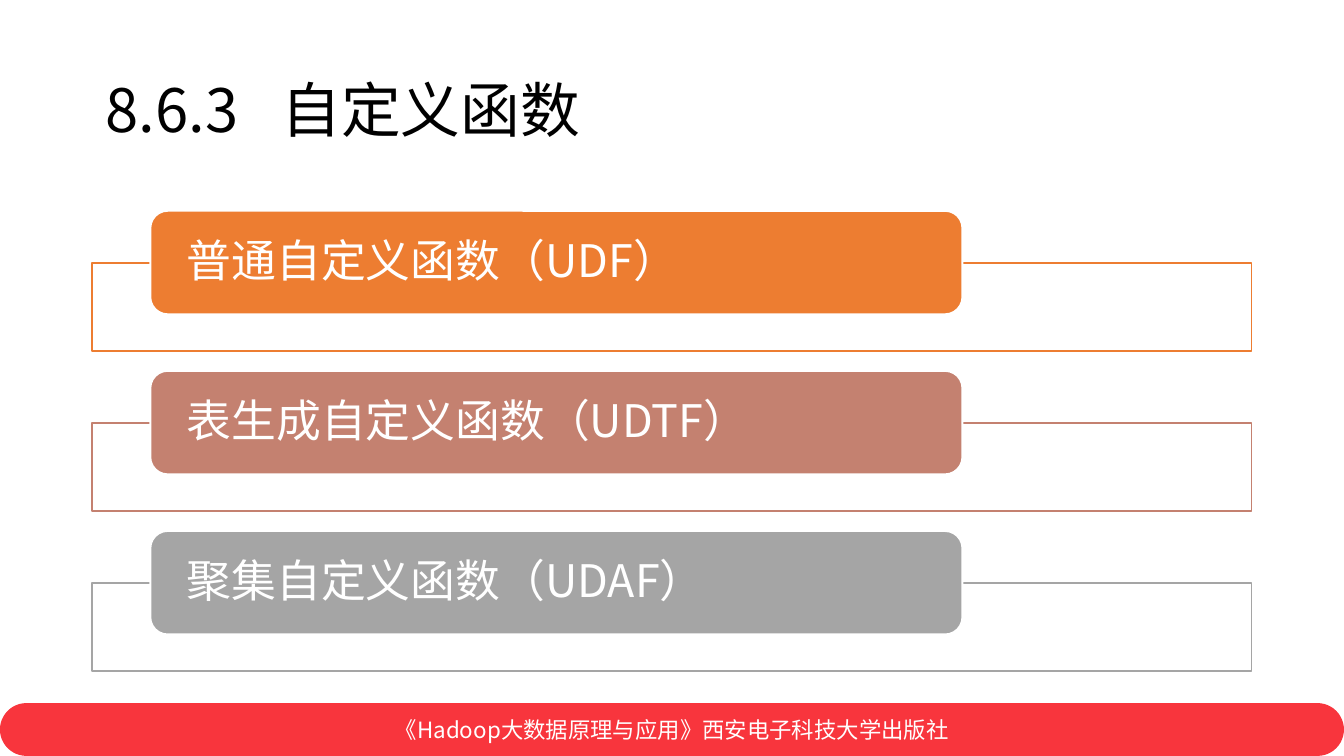
"""Build the slide listing the three kinds of user-defined functions."""
from lxml import etree
from pptx import Presentation
from pptx.dml.color import RGBColor
from pptx.enum.shapes import MSO_SHAPE
from pptx.enum.text import MSO_ANCHOR, PP_ALIGN
from pptx.oxml.ns import qn
from pptx.util import Pt

RECTANGLE, ROUNDED = MSO_SHAPE.RECTANGLE, MSO_SHAPE.ROUNDED_RECTANGLE
MIDDLE = MSO_ANCHOR.MIDDLE
LEFT, CENTER = PP_ALIGN.LEFT, PP_ALIGN.CENTER
FONT = "Noto Sans CJK SC"


def color(hex_value):
    return RGBColor.from_string(hex_value)


def write(frame, text, size, hex_value, align, line_spacing):
    frame.word_wrap = True
    frame.vertical_anchor = MIDDLE
    paragraph = frame.paragraphs[0]
    paragraph.alignment = align
    paragraph.line_spacing = line_spacing
    run = paragraph.add_run()
    run.text = text
    run.font.size = Pt(size)
    run.font.color.rgb = color(hex_value)
    run.font.name = FONT
    etree.SubElement(run.font._element, qn("a:ea"), typeface=FONT)


prs = Presentation()
prs.slide_width, prs.slide_height = Pt(720), Pt(405)
slide = prs.slides.add_slide(prs.slide_layouts[5])
shapes = slide.shapes

footer = shapes.add_shape(ROUNDED, Pt(0), Pt(376.7), Pt(720), Pt(28.3))
footer.adjustments[0] = 0.5
footer.shadow.inherit = False
footer.fill.solid()
footer.fill.fore_color.rgb = color("F8353D")
footer.line.fill.background()
write(footer.text_frame, "《Hadoop大数据原理与应用》西安电子科技大学出版社", 12, "FFFFFF", CENTER, 1.0)

title = shapes.title
title.left, title.top, title.width, title.height = Pt(49.5), Pt(21.6), Pt(621), Pt(78.3)
title_properties = title.text_frame.paragraphs[0]._p.get_or_add_pPr()
tab_stops = etree.SubElement(title_properties, qn("a:tabLst"))
etree.SubElement(tab_stops, qn("a:tab"), pos=str(Pt(94)), algn="l")
write(title.text_frame, "8.6.3\t自定义函数", 32, "000000", LEFT, 0.9)

functions = [
    ("普通自定义函数（UDF）", "ED7D31"),
    ("表生成自定义函数（UDTF）", "C48170"),
    ("聚集自定义函数（UDAF）", "A5A5A5"),
]
for row, (function, accent) in enumerate(functions):
    top = 113 + row * 85.75

    outline = shapes.add_shape(RECTANGLE, Pt(49.5), Pt(top + 27.7), Pt(621), Pt(47.5))
    outline.shadow.inherit = False
    outline.fill.solid()
    outline.fill.fore_color.rgb = color("FFFFFF")
    fill_color = outline._element.spPr.find(qn("a:solidFill"))[0]
    etree.SubElement(fill_color, qn("a:alpha"), val="90000")
    outline.line.color.rgb = color(accent)
    outline.line.width = Pt(1)

    label = shapes.add_shape(ROUNDED, Pt(80.6), Pt(top), Pt(435), Pt(55.4))
    label.shadow.inherit = False
    label.fill.solid()
    label.fill.fore_color.rgb = color(accent)
    label.line.color.rgb = color("FFFFFF")
    label.line.width = Pt(1)
    label_text = label.text_frame
    label_text.margin_left = label_text.margin_right = Pt(16.8)
    label_text.margin_top = label_text.margin_bottom = Pt(0)
    write(label_text, function, 24, "FFFFFF", LEFT, 0.9)

prs.save("out.pptx")
